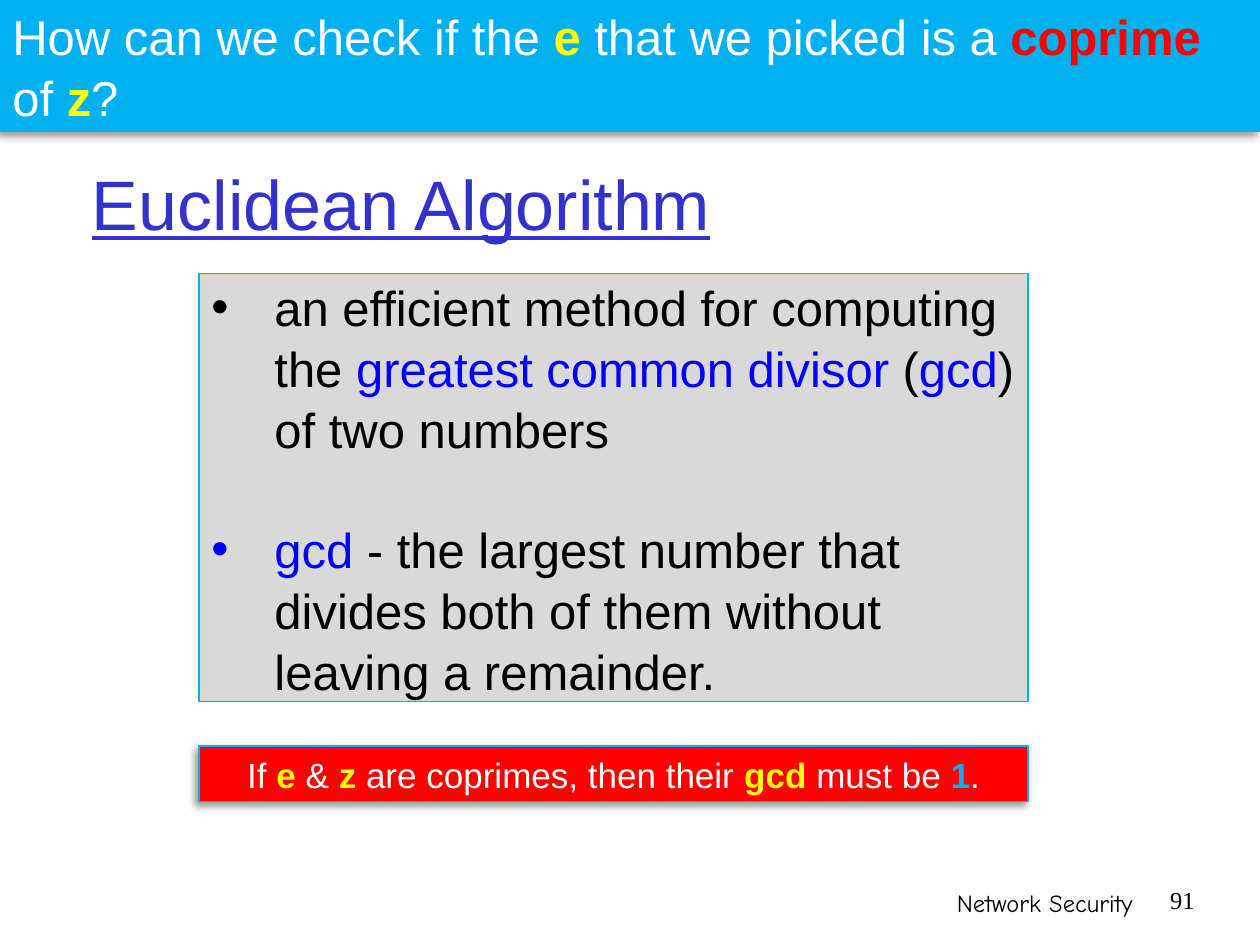
from dataclasses import dataclass
from typing import Optional

import lxml.etree
import pptx
import pptx.dml.color
import pptx.enum.shapes
import pptx.enum.text
import pptx.oxml
import pptx.oxml.ns
import pptx.util

Inches = pptx.util.Inches
Pt = pptx.util.Pt
Align = pptx.enum.text.PP_ALIGN
Anchor = pptx.enum.text.MSO_ANCHOR
qn = pptx.oxml.ns.qn


@dataclass(frozen=True)
class Theme:
    sans: str = "Arial"
    footer_font: str = "Comic Neue"
    number_font: str = "Times New Roman"
    black: str = "000000"
    white: str = "FFFFFF"
    cyan: str = "00B0F0"
    yellow: str = "FFFF00"
    red: str = "FF0000"
    blue: str = "0000FF"
    indigo: str = "3333CC"
    grey: str = "D9D9D9"
    title_size: int = 40
    body_size: int = 28
    note_size: int = 20
    footer_size: int = 14
    line_width: float = 0.75
    line_spacing: float = 1.04
    paragraph_gap: float = 33.5


THEME = Theme()


@dataclass(frozen=True)
class Span:
    text: str
    color: str
    bold: bool = False


@dataclass(frozen=True)
class Panel:
    left: float
    top: float
    width: float
    height: float
    fill: str
    size: int
    paragraphs: tuple[tuple[Span, ...], ...]
    align: Align = Align.LEFT
    bulleted: bool = False
    shadowed: bool = False


@dataclass(frozen=True)
class FooterItem:
    text: str
    left: float
    width: float
    font: str
    spacing: Optional[float] = None


def rgb(color: str) -> pptx.dml.color.RGBColor:
    return pptx.dml.color.RGBColor.from_string(color)


def style_font(font, name: str, size: int, color: str, bold: bool = False) -> None:
    font.name = name
    font.size = Pt(size)
    font.bold = bold
    font.color.rgb = rgb(color)


def add_shadow(shape) -> None:
    effects = shape._element.spPr.find(qn("a:effectLst"))
    shadow = lxml.etree.SubElement(
        effects, qn("a:outerShdw"), blurRad=str(Pt(4)), dist=str(Pt(3)),
        dir=str(135 * 60000), algn="tr", rotWithShape="0")
    color = lxml.etree.SubElement(shadow, qn("a:srgbClr"), val=THEME.black)
    lxml.etree.SubElement(color, qn("a:alpha"), val="40000")


def add_bullet(paragraph) -> None:
    properties = paragraph._p.get_or_add_pPr()
    properties.set("marL", str(Inches(0.5)))
    properties.set("indent", str(-Inches(0.5)))
    lxml.etree.SubElement(properties, qn("a:buFont"), typeface=THEME.sans)
    lxml.etree.SubElement(properties, qn("a:buChar"), char="•")


def draw_panel(slide, panel: Panel) -> None:
    shape = slide.shapes.add_shape(
        pptx.enum.shapes.MSO_SHAPE.RECTANGLE, Inches(panel.left), Inches(panel.top),
        Inches(panel.width), Inches(panel.height))
    shape.shadow.inherit = False
    shape.fill.solid()
    shape.fill.fore_color.rgb = rgb(panel.fill)
    shape.line.color.rgb = rgb(THEME.cyan)
    shape.line.width = Pt(THEME.line_width)
    if panel.shadowed:
        add_shadow(shape)
    frame = shape.text_frame
    frame.word_wrap = True
    frame.vertical_anchor = Anchor.MIDDLE
    for index, spans in enumerate(panel.paragraphs):
        paragraph = frame.add_paragraph() if index else frame.paragraphs[0]
        paragraph.alignment = panel.align
        paragraph.line_spacing = THEME.line_spacing
        if panel.bulleted:
            if index:
                paragraph.space_before = Pt(THEME.paragraph_gap)
            add_bullet(paragraph)
        for span in spans:
            run = paragraph.add_run()
            run.text = span.text
            style_font(run.font, THEME.sans, panel.size, span.color, span.bold)


def draw_title(slide, text: str) -> None:
    title = slide.shapes.title
    title.left, title.top = Inches(0.63), Inches(1.17)
    title.width, title.height = Inches(8.48), Inches(0.86)
    title.text_frame.text = text
    title.text_frame.word_wrap = True
    title.text_frame.vertical_anchor = Anchor.MIDDLE
    paragraph = title.text_frame.paragraphs[0]
    paragraph.alignment = Align.LEFT
    paragraph.line_spacing = 1.02
    font = paragraph.runs[0].font
    style_font(font, THEME.sans, THEME.title_size, THEME.indigo)
    font.underline = True


def draw_footer(slide, item: FooterItem) -> None:
    box = slide.shapes.add_textbox(
        Inches(item.left), Inches(7), Inches(item.width), Inches(0.34))
    box.text_frame.word_wrap = True
    box.text_frame.text = item.text
    paragraph = box.text_frame.paragraphs[0]
    paragraph.alignment = Align.RIGHT
    paragraph.line_spacing = item.spacing
    style_font(paragraph.runs[0].font, item.font, THEME.footer_size, THEME.black)


def plain(text: str) -> Span:
    return Span(text, THEME.white)


def key(text: str, color: str = THEME.yellow) -> Span:
    return Span(text, color, True)


def body(text: str) -> Span:
    return Span(text, THEME.black)


def term(text: str) -> Span:
    return Span(text, THEME.blue)


DEFINITION = Panel(1.58, 2.17, 6.58, 3.4, THEME.grey, THEME.body_size, (
    (body("an efficient method for computing the "), term("greatest common divisor "),
     body("("), term("gcd"), body(") of two numbers")),
    (term("gcd"), body(" - the largest number that divides both of them without "
                       "leaving a remainder.")),
), bulleted=True)
QUESTION = Panel(0, 0, 10, 1.04, THEME.cyan, THEME.body_size, (
    (plain("How can we check if the "), key("e"), plain(" that we picked is a "),
     key("coprime", THEME.red)),
    (plain("of "), key("z"), plain("?")),
), shadowed=True)
CONCLUSION = Panel(1.58, 5.92, 6.58, 0.44, THEME.red, THEME.note_size, (
    (plain("If "), key("e"), plain(" & "), key("z"), plain(" are coprimes, then their "),
     key("gcd "), plain("must be "), key("1", THEME.cyan), plain(".")),
), align=Align.CENTER, shadowed=True)
FOOTER = (
    FooterItem("Network Security", 5.92, 3.17, THEME.footer_font),
    FooterItem("91", 9.08, 0.5, THEME.number_font, 0.92),
)


def main() -> None:
    deck = pptx.Presentation()
    deck.slide_width, deck.slide_height = Inches(10), Inches(7.5)
    slide = deck.slides.add_slide(deck.slide_layouts[5])
    for item in FOOTER:
        draw_footer(slide, item)
    draw_title(slide, "Euclidean Algorithm")
    for panel in (DEFINITION, QUESTION, CONCLUSION):
        draw_panel(slide, panel)
    deck.save("out.pptx")


if __name__ == "__main__":
    main()
